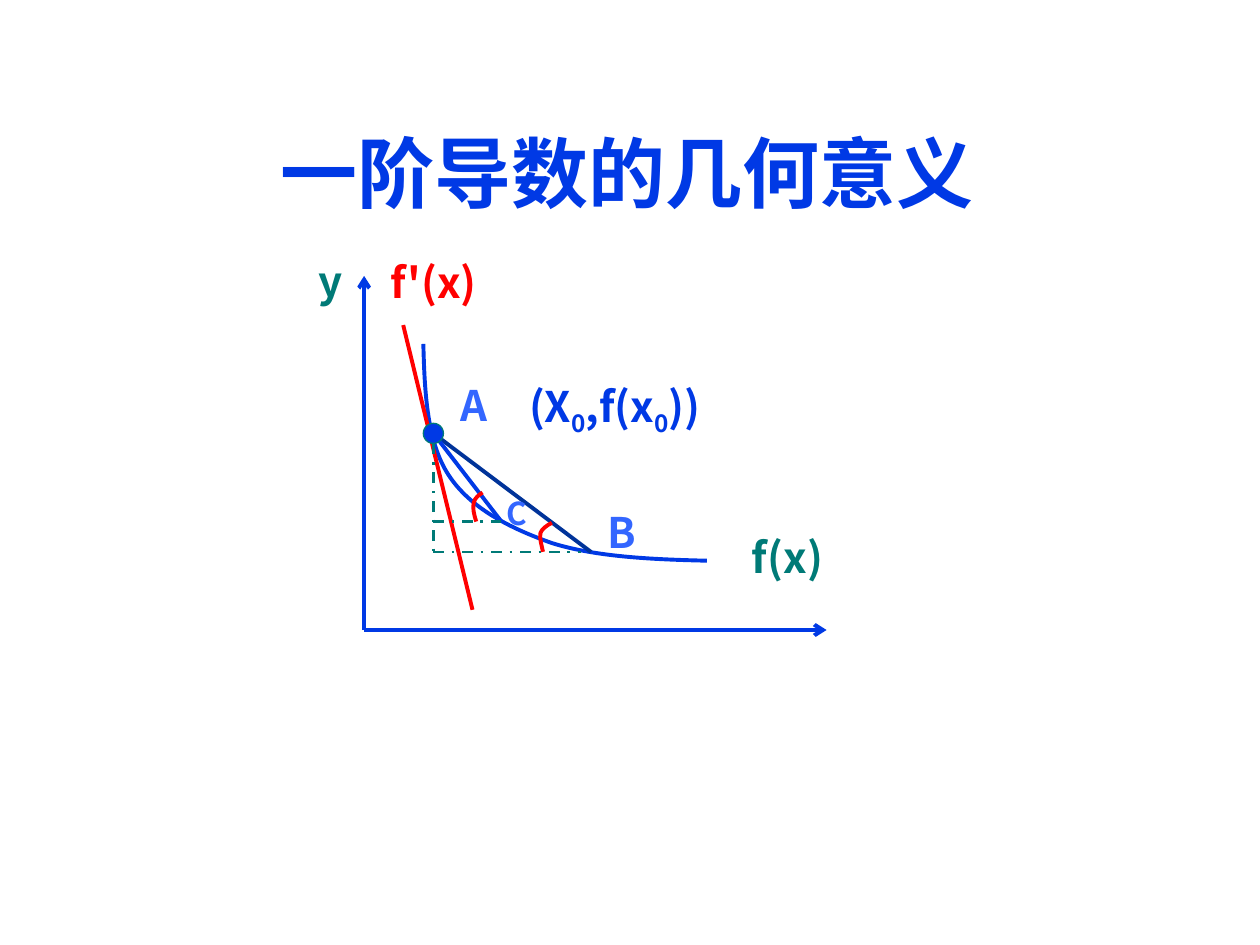
from lxml import etree
from pptx import Presentation
from pptx.dml.color import RGBColor
from pptx.enum.dml import MSO_LINE
from pptx.enum.shapes import MSO_CONNECTOR, MSO_SHAPE
from pptx.enum.text import MSO_ANCHOR, PP_ALIGN
from pptx.oxml.ns import qn
from pptx.util import Inches, Pt

DASH_DOT = MSO_LINE.DASH_DOT
STRAIGHT = MSO_CONNECTOR.STRAIGHT
OVAL = MSO_SHAPE.OVAL
MIDDLE = MSO_ANCHOR.MIDDLE
CENTER = PP_ALIGN.CENTER
TITLE_ONLY = 5

FONT = "Noto Sans CJK SC"
COLORS = {
    "blue": "0039E5",
    "navy": "003399",
    "light": "3366FF",
    "red": "FF0000",
    "teal": "007A77",
}

ORIGIN = (2.89, 5)
A = (3.44, 3.44)
B = (4.69, 4.38)
C = (3.98, 4.14)


def rgb(name):
    return RGBColor.from_string(COLORS[name])


def style_text(tf, size, color, font):
    tf.vertical_anchor = MIDDLE
    p = tf.paragraphs[0]
    p.alignment = CENTER
    p.font.size = Pt(size)
    p.font.bold = True
    p.font.name = font
    p.font.color.rgb = rgb(color)
    for r in p.runs:
        etree.SubElement(r._r.get_or_add_rPr(), qn("a:ea"), typeface=FONT)


def set_title(s, text, box):
    sp = s.shapes.title
    sp.left, sp.top, sp.width, sp.height = map(Inches, box)
    sp.text_frame.text = text
    style_text(sp.text_frame, 44, "blue", "Arial")


def add_label(s, parts, box, color, size=24):
    """Add a centred label; every second part is a subscript."""
    tf = s.shapes.add_textbox(*map(Inches, box)).text_frame
    tf.word_wrap = False
    for i, part in enumerate(parts):
        r = tf.paragraphs[0].add_run()
        r.text = part
        if i % 2:
            r._r.get_or_add_rPr().set("baseline", "-25000")
    style_text(tf, size, color, FONT)


def add_line(s, start, end, color, width=2.25, dash=None, arrow=False):
    cn = s.shapes.add_connector(STRAIGHT, *map(Inches, start + end))
    cn.line.color.rgb = rgb(color)
    cn.line.width = Pt(width)
    if dash:
        cn.line.dash_style = dash
    if arrow:
        etree.SubElement(cn.line._get_or_add_ln(), qn("a:tailEnd"), type="arrow")
    etree.SubElement(cn._element.spPr, qn("a:effectLst"))


def add_curve(s, points, color):
    """Draw cubic Bézier segments: a start, then two controls and an end each."""
    start, *rest = [(Inches(x), Inches(y)) for x, y in points]
    builder = s.shapes.build_freeform(*start)
    builder.add_line_segments(rest, close=False)
    sp = builder.convert_to_shape()
    path = next(sp._element.iter(qn("a:path")))
    segments = path.findall(qn("a:lnTo"))
    for i in range(0, len(segments), 3):
        bezier = etree.SubElement(path, qn("a:cubicBezTo"))
        for segment in segments[i:i + 3]:
            bezier.append(segment[0])
            path.remove(segment)
    sp.fill.background()
    sp.line.color.rgb = rgb(color)
    sp.line.width = Pt(2.25)
    sp.shadow.inherit = False


def add_point(s, center, size, fill, outline):
    left, top = (v - size / 2 for v in center)
    sp = s.shapes.add_shape(OVAL, *map(Inches, (left, top, size, size)))
    sp.fill.solid()
    sp.fill.fore_color.rgb = rgb(fill)
    sp.line.color.rgb = rgb(outline)
    sp.line.width = Pt(0.75)
    sp.shadow.inherit = False


def main():
    prs = Presentation()
    prs.slide_width, prs.slide_height = Inches(10), Inches(7.5)
    s = prs.slides.add_slide(prs.slide_layouts[TITLE_ONLY])
    set_title(s, "一阶导数的几何意义", (0.31, 0.78, 9.34, 1.17))

    for end in ((6.56, 5), (2.89, 2.19)):
        add_line(s, ORIGIN, end, "blue", arrow=True)

    add_curve(s, [(3.36, 2.73), (3.37, 3.12), (3.39, 3.51), (3.56, 3.77),
                  (3.73, 4.03), (4.04, 4.19), (4.38, 4.31),
                  (4.73, 4.42), (5.17, 4.44), (5.61, 4.45)], "blue")
    add_line(s, A, B, "navy")
    add_line(s, A, C, "blue")
    add_line(s, (3.2, 2.58), (3.75, 4.84), "red")
    add_point(s, A, 0.16, "blue", "teal")

    for start, end in (((A[0], 3.52), (A[0], B[1])),
                       ((A[0], B[1]), (4.61, B[1])),
                       (C, (A[0], C[1]))):
        add_line(s, start, end, "teal", 1.5, DASH_DOT)

    add_curve(s, [(4.38, 4.15), (4.34, 4.17), (4.3, 4.2), (4.29, 4.23),
                  (4.28, 4.27), (4.3, 4.33), (4.31, 4.38)], "red")
    add_curve(s, [(3.83, 3.91), (3.8, 3.93), (3.77, 3.95), (3.76, 3.99),
                  (3.75, 4.03), (3.76, 4.08), (3.78, 4.14)], "red")

    add_label(s, ["(X", "0", ",f(x", "0", "))"], (3.98, 2.89, 1.8, 0.71), "blue")
    add_label(s, ["f'(x)"], (2.89, 1.88, 1.1, 0.71), "red")
    add_label(s, ["f(x)"], (5.7, 4.06, 1.1, 0.71), "teal")
    add_label(s, ["y"], (2.34, 1.95, 0.56, 0.55), "teal")
    add_label(s, ["A"], (3.52, 3.05, 0.49, 0.32), "light")
    add_label(s, ["B"], (4.69, 4.06, 0.49, 0.32), "light")
    add_label(s, ["C"], (3.91, 3.91, 0.39, 0.32), "light", 18)

    prs.save("out.pptx")


if __name__ == "__main__":
    main()
